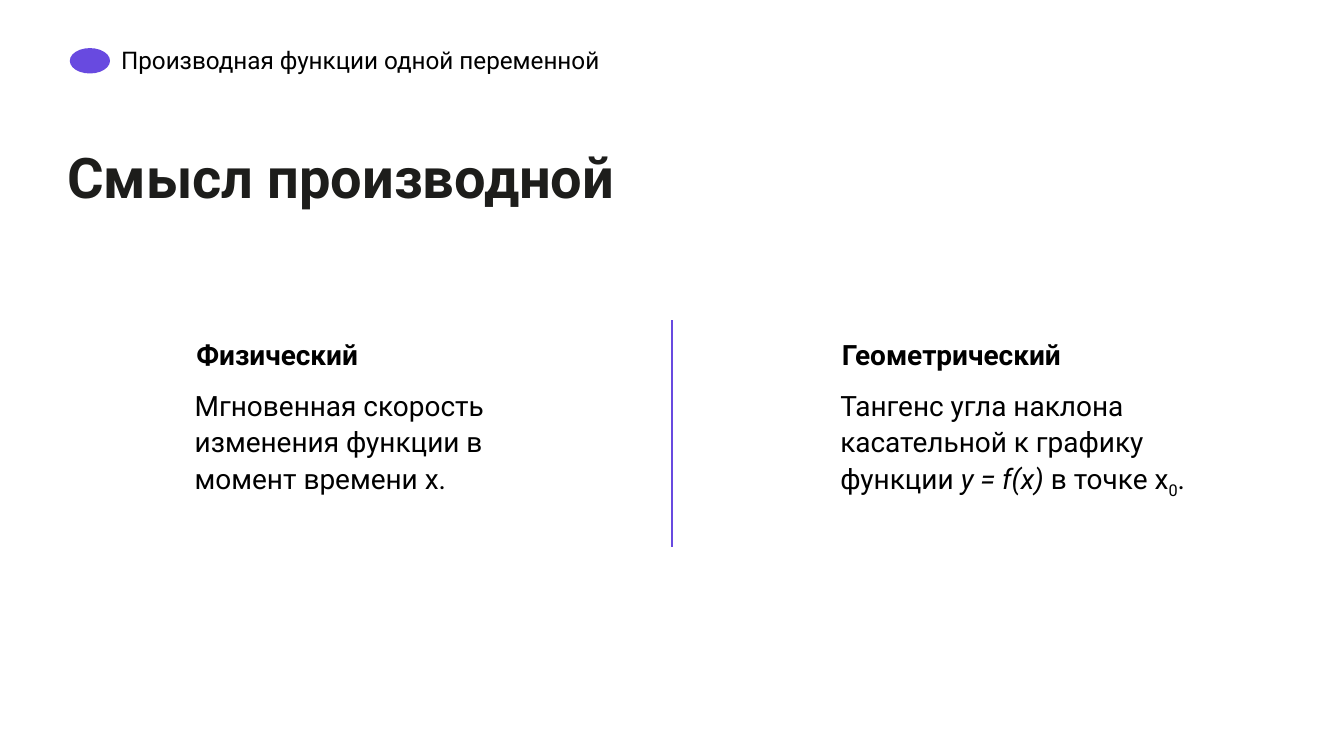
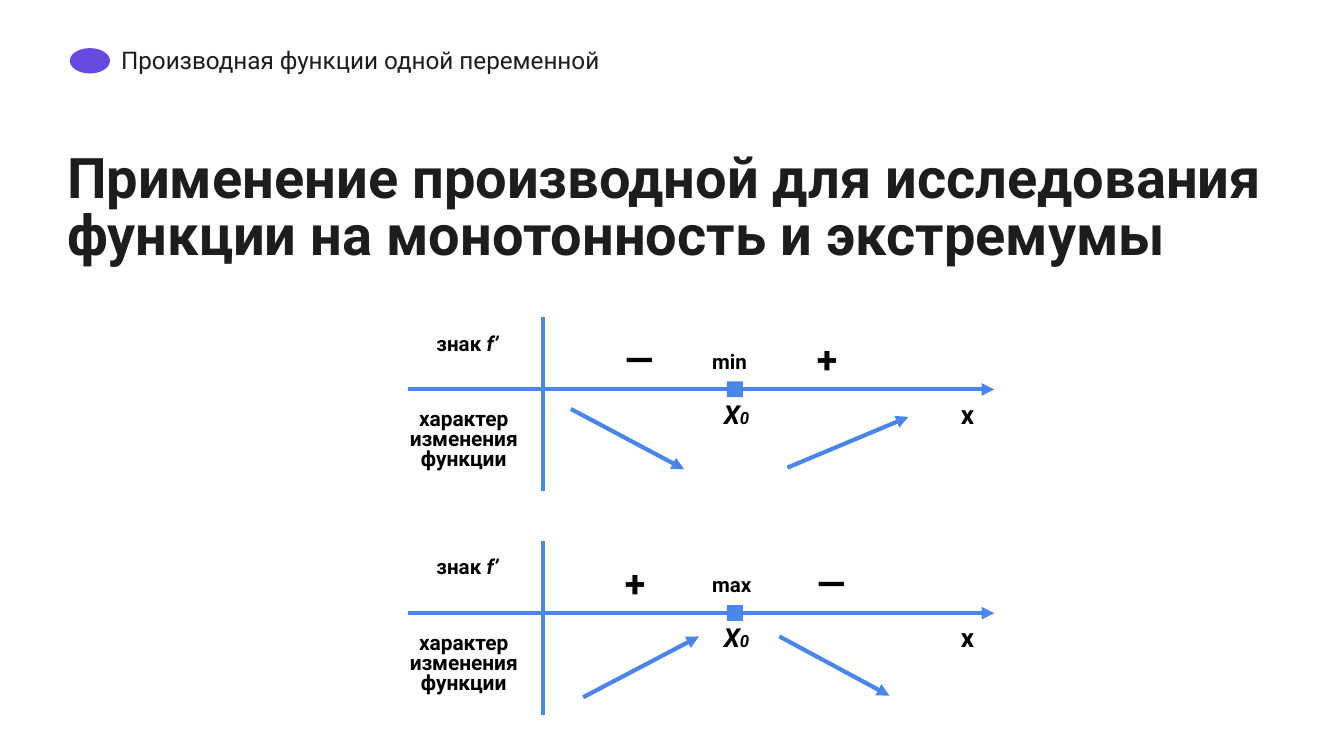
from lxml import etree
from pptx import Presentation
from pptx.dml.color import RGBColor
from pptx.enum import shapes as sh, text as tx
from pptx.oxml import ns
from pptx.util import Cm, Pt

FONT = "Roboto"
BLACK = RGBColor(0x00, 0x00, 0x00)
INK = RGBColor(0x1D, 0x1D, 0x1B)
VIOLET = RGBColor(0x68, 0x4A, 0xE0)
BLUE = RGBColor(0x4A, 0x86, 0xE8)
BOLD = {"bold": True}
SLANT = {"bold": True, "italic": True}


def place(item, x, y, w, h):
    item.left, item.top, item.width, item.height = Cm(x), Cm(y), Cm(w), Cm(h)


def frame(item, pads, anchor=tx.MSO_ANCHOR.TOP):
    """Set wrapping, anchor and insets (left, top, right, bottom)."""
    tf = item.text_frame
    tf.word_wrap = True
    tf.auto_size = tx.MSO_AUTO_SIZE.NONE
    tf.vertical_anchor = anchor
    tf.margin_left, tf.margin_top, tf.margin_right, tf.margin_bottom = map(Cm, pads)
    return tf


def write(par, runs, size, color=BLACK, space=1.0, align=tx.PP_ALIGN.LEFT):
    """Fill a paragraph with (words, font settings) runs."""
    par.alignment = align
    par.line_spacing = space
    par.space_before = Pt(0)
    for words, style in runs:
        run = par.add_run()
        run.text = words
        font = run.font
        font.name, font.color.rgb = FONT, color
        font.size = Pt(style.get("size", size))
        font.bold = style.get("bold", False)
        font.italic = style.get("italic", False)
        if "base" in style:
            run._r.get_or_add_rPr().set("baseline", str(style["base"]))


def line(slide, start, end, color, width, arrow=False):
    ends = [Cm(v) for v in (*start, *end)]
    con = slide.shapes.add_connector(sh.MSO_CONNECTOR.STRAIGHT, *ends)
    con.line.color.rgb = color
    con.line.width = Pt(width)
    props = con._element.spPr
    if arrow:
        etree.SubElement(props.find(ns.qn("a:ln")), ns.qn("a:tailEnd"), type="triangle")
    etree.SubElement(props, ns.qn("a:effectLst"))


def solid(slide, kind, x, y, w, h, color):
    item = slide.shapes.add_shape(kind, Cm(x), Cm(y), Cm(w), Cm(h))
    item.shadow.inherit = False
    item.fill.solid()
    item.fill.fore_color.rgb = color
    item.line.fill.background()


def header(slide, width, color):
    solid(slide, sh.MSO_SHAPE.OVAL, 1.32, 0.91, 0.76, 0.48, VIOLET)
    box = slide.shapes.add_textbox(Cm(2.29), Cm(0.66), Cm(width), Cm(0.71))
    runs = [("Производная функции одной переменной", {})]
    write(frame(box, (0, 0.28, 0, 0)).paragraphs[0], runs, 13, color, 0.85)


def title(slide, words, w, h):
    item = slide.shapes.title
    place(item, 1.27, 2.86, w, h)
    write(frame(item, (0, 0.03, 0, 0)).paragraphs[0], [(words, BOLD)], 30, INK, 0.85)


def column(item, x, y, head, runs):
    place(item, x, y, 6.83, 2.82)
    tf = frame(item, (0, 0.03, 0, 0))
    top, body = tf.paragraphs[0], tf.add_paragraph()
    write(top, [(head, BOLD)], 15)
    write(body, runs, 15, space=1.08)
    body.space_before = Pt(8)
    for par, left in ((top, Cm(0.03)), (body, 0)):
        props = par._p.get_or_add_pPr()
        props.set("marL", str(left))
        props.set("indent", "0")
        etree.SubElement(props, ns.qn("a:buNone"))


def label(slide, x, y, w, h, runs, size, space=0.8, align=tx.PP_ALIGN.LEFT):
    box = slide.shapes.add_textbox(Cm(x), Cm(y), Cm(w), Cm(h))
    tf = frame(box, [0.25] * 4, tx.MSO_ANCHOR.MIDDLE)
    write(tf.paragraphs[0], runs, size, space=space, align=align)


def chart(slide, x, y, signs, point, trends):
    """Sign chart of the derivative around one extremum."""
    axis = y + 1.36
    line(slide, (x, axis), (x + 11.07, axis), BLUE, 2.25, True)
    line(slide, (x + 2.54, y + 3.28), (x + 2.54, y), BLUE, 2.25)
    for x1, y1, x2, y2 in trends:
        line(slide, (x + x1, y + y1), (x + x2, y + y2), BLUE, 2.25, True)
    solid(slide, sh.MSO_SHAPE.RECTANGLE, x + 6.02, axis - 0.15, 0.3, 0.3, BLUE)

    label(slide, x + 0.28, y + 0.17, 2.26, 0.71, [("знак ", BOLD), ("f’", SLANT)], 11)
    label(slide, x - 0.48, y + 1.63, 3.05, 1.4,
          [("характер изменения функции", BOLD)], 11.2, align=tx.PP_ALIGN.CENTER)
    for sign, dx, w in zip(signs, (3.84, 7.47), (0.79, 1.19)):
        label(slide, x + dx, y + 0.42, w, 0.71, [(sign, BOLD)], 20, 1.0)
    label(slide, x + 5.49, y + 0.51, 1.47, 0.71, [(point, BOLD)], 11)
    label(slide, x + 5.71, y + 1.52, 1.47, 0.71,
          [("X", SLANT), ("0", {**SLANT, "size": 9})], 14)
    label(slide, x + 10.19, y + 1.52, 0.86, 0.71, [("x", BOLD)], 14)


def meaning(deck):
    slide = deck.slides.add_slide(deck.slide_layouts[3])
    header(slide, 12.98, BLACK)
    title(slide, "Смысл производной", 19.3, 0.86)
    left, right = list(slide.placeholders)[1:]
    column(left, 3.68, 6.35, "Физический",
           [("Мгновенная скорость изменения функции в момент времени x.", {})])
    column(right, 15.88, 6.35, "Геометрический", [
        ("Тангенс угла наклона касательной к графику функции ", {}),
        ("y = f(x)", {"italic": True}),
        (" в точке х", {}),
        ("0", {"base": -25000}),
        (".", {}),
    ])
    line(slide, (12.7, 6.05), (12.7, 10.34), VIOLET, 1.5)


def usage(deck):
    slide = deck.slides.add_slide(deck.slide_layouts[5])
    header(slide, 11.48, INK)
    title(slide, "Применение производной для исследования функции "
                 "на монотонность и экстремумы", 23.77, 1.24)
    chart(slide, 7.72, 6, "—+", "min",
          [(3.07, 1.73, 5.21, 2.87), (7.16, 2.84, 9.45, 1.88)])
    chart(slide, 7.72, 10.23, "+—", "max",
          [(3.3, 2.95, 5.49, 1.8), (7.01, 1.8, 9.09, 2.92)])


def main():
    deck = Presentation()
    deck.slide_width, deck.slide_height = Cm(25.4), Cm(14.29)
    meaning(deck)
    usage(deck)
    deck.save("out.pptx")


if __name__ == "__main__":
    main()
